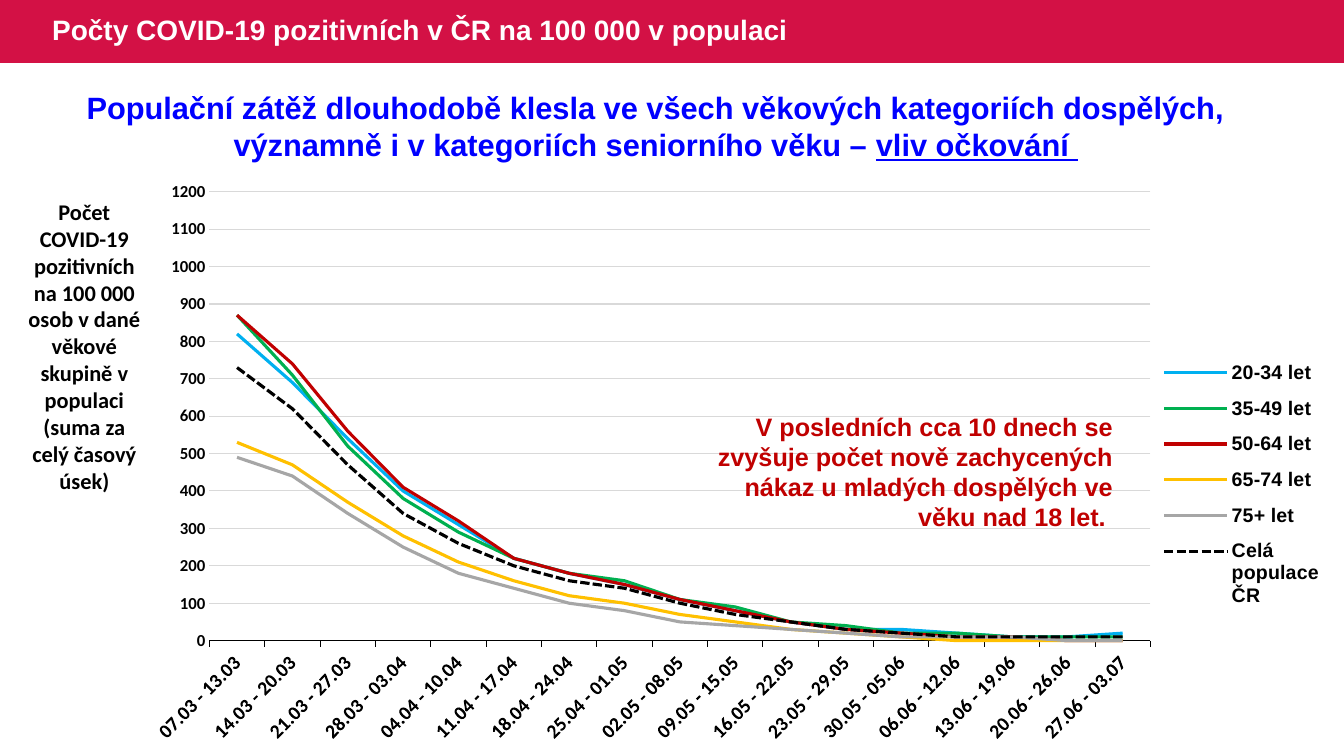
from pptx import Presentation
from pptx.chart.data import CategoryChartData
from pptx.dml.color import RGBColor
from pptx.enum.chart import XL_CHART_TYPE, XL_LEGEND_POSITION, XL_MARKER_STYLE, XL_TICK_MARK
from pptx.enum.dml import MSO_LINE
from pptx.enum.shapes import MSO_SHAPE
from pptx.enum.text import MSO_ANCHOR, PP_ALIGN
from pptx.oxml import parse_xml
from pptx.oxml.ns import nsdecls, qn
from pptx.util import Pt

COLORS = {
    "band": "D31145", "white": "FFFFFF", "black": "000000", "headline": "0000FF",
    "grid": "D9D9D9", "blue": "00B0F0", "green": "00B050", "red": "C00000",
    "yellow": "FFC000", "grey": "A6A6A6",
}
WEEKS = [
    "07.03 - 13.03", "14.03 - 20.03", "21.03 - 27.03", "28.03 - 03.04", "04.04 - 10.04",
    "11.04 - 17.04", "18.04 - 24.04", "25.04 - 01.05", "02.05 - 08.05", "09.05 - 15.05",
    "16.05 - 22.05", "23.05 - 29.05", "30.05 - 05.06", "06.06 - 12.06", "13.06 - 19.06",
    "20.06 - 26.06", "27.06 - 03.07",
]
AGE_GROUPS = [
    ("20-34 let", "blue",
     [820, 690, 540, 400, 310, 220, 180, 150, 110, 80, 50, 30, 30, 20, 10, 10, 20]),
    ("35-49 let", "green",
     [870, 710, 520, 380, 290, 220, 180, 160, 110, 90, 50, 40, 20, 20, 10, 10, 10]),
    ("50-64 let", "red",
     [870, 740, 560, 410, 320, 220, 180, 150, 110, 80, 50, 30, 20, 10, 10, 0, 0]),
    ("65-74 let", "yellow",
     [530, 470, 370, 280, 210, 160, 120, 100, 70, 50, 30, 20, 10, 0, 0, 0, 0]),
    ("75+ let", "grey",
     [490, 440, 340, 250, 180, 140, 100, 80, 50, 40, 30, 20, 10, 10, 10, 0, 0]),
    ("Celá populace ČR", "black",
     [730, 620, 470, 340, 260, 200, 160, 140, 100, 70, 50, 30, 20, 10, 10, 10, 10]),
]


def color(name):
    return RGBColor.from_string(COLORS[name])


def format_font(font, size, tint="black", name="Arial"):
    font.name, font.size, font.bold = name, Pt(size), True
    font.color.rgb = color(tint)


def add_span(para, text, underline=None, **font):
    span = para.add_run()
    span.text = text
    span.font.underline = underline
    format_font(span.font, **font)


def add_text(page, left, top, width, height, paragraphs, align, **font):
    """Add a wrapped box whose paragraphs are lists of (text, underline) pairs."""
    box = page.shapes.add_textbox(Pt(left), Pt(top), Pt(width), Pt(height))
    frame = box.text_frame
    frame.word_wrap = True
    for index, spans in enumerate(paragraphs):
        para = frame.add_paragraph() if index else frame.paragraphs[0]
        para.alignment = align
        for text, underline in spans:
            add_span(para, text, underline, **font)


def add_title(page, text):
    title = page.shapes.title
    title.left, title.top, title.width, title.height = Pt(30), Pt(0), Pt(603), Pt(45)
    title.text_frame.vertical_anchor = MSO_ANCHOR.MIDDLE
    para = title.text_frame.paragraphs[0]
    para.alignment, para.line_spacing = PP_ALIGN.LEFT, 0.9
    add_span(para, text, size=20, tint="white")
    band = page.shapes.add_shape(MSO_SHAPE.RECTANGLE, Pt(0), Pt(0), Pt(960), Pt(45))
    band.shadow.inherit = False
    band.fill.solid()
    band.fill.fore_color.rgb = color("band")
    band.line.fill.background()
    title.element.addprevious(band.element)


def make_layout(x, y, w, h, inner=False):
    target = '<c:layoutTarget val="inner"/>' if inner else ""
    return parse_xml(
        f'<c:layout {nsdecls("c")}><c:manualLayout>{target}'
        '<c:xMode val="edge"/><c:yMode val="edge"/>'
        f'<c:x val="{x}"/><c:y val="{y}"/><c:w val="{w}"/><c:h val="{h}"/>'
        '</c:manualLayout></c:layout>')


def set_layout(element, position, layout):
    for old in element.findall(qn("c:layout")):
        element.remove(old)
    element.insert(position, layout)


def format_axes(chart):
    weeks, counts = chart.category_axis, chart.value_axis
    format_font(weeks.tick_labels.font, 14, name="Calibri")
    weeks.format.line.color.rgb = color("black")
    weeks.format.line.width = Pt(0.75)
    weeks.major_tick_mark = XL_TICK_MARK.OUTSIDE
    body = weeks.tick_labels.font._element.getparent().getparent().getparent().find(qn("a:bodyPr"))
    body.set("rot", "-2700000")
    body.set("vert", "horz")
    format_font(counts.tick_labels.font, 12, name="Calibri")
    counts.minimum_scale, counts.maximum_scale, counts.major_unit = 0, 1200, 100
    counts.major_tick_mark = XL_TICK_MARK.NONE
    counts.format.line.fill.background()
    counts.major_gridlines.format.line.color.rgb = color("grid")
    counts.major_gridlines.format.line.width = Pt(0.75)


def add_line_chart(page, left, top, width, height):
    data = CategoryChartData()
    data.categories = WEEKS
    for name, _, values in AGE_GROUPS:
        data.add_series(name, values)
    chart = page.shapes.add_chart(
        XL_CHART_TYPE.LINE, Pt(left), Pt(top), Pt(width), Pt(height), data).chart
    chart.has_title = False
    format_font(chart.font, 14)
    format_axes(chart)
    plot = chart.plots[0]
    plot.vary_by_categories = False
    for series, (_, tint, _) in zip(plot.series, AGE_GROUPS):
        series.smooth = False
        series.marker.style = XL_MARKER_STYLE.NONE
        series.format.line.color.rgb = color(tint)
        series.format.line.width = Pt(2.25)
    plot.series[-1].format.line.dash_style = MSO_LINE.SQUARE_DOT
    chart.has_legend = True
    legend = chart.legend
    legend.position = XL_LEGEND_POSITION.RIGHT
    legend.include_in_layout = False
    format_font(legend.font, 14)
    plot_area = chart.element.find(qn("c:chart")).find(qn("c:plotArea"))
    set_layout(plot_area, 0, make_layout(0.045, 0.026, 0.803, 0.759, inner=True))
    set_layout(legend.font._element.getparent().getparent().getparent().getparent(), 1,
               make_layout(0.86, 0.29, 0.14, 0.46))


def main():
    deck = Presentation()
    deck.slide_width, deck.slide_height = Pt(960), Pt(540)
    page = deck.slides.add_slide(deck.slide_layouts[5])
    add_title(page, "Počty COVID-19 pozitivních v ČR na 100 000 v populaci")
    add_line_chart(page, 109.5, 126, 839.5, 422.5)
    add_text(page, 11, 138, 98.5, 220,
             [[("Počet COVID-19 pozitivních na 100 000 osob v dané věkové skupině "
                "v populaci (suma za celý časový úsek)", None)]],
             PP_ALIGN.CENTER, size=16, name="Calibri")
    add_text(page, 21.5, 60, 893.5, 60.5,
             [[("Populační zátěž dlouhodobě klesla ve všech věkových kategoriích dospělých,",
                None)],
              [("významně i v kategoriích seniorního věku – ", None), ("vliv očkování ", True)]],
             PP_ALIGN.CENTER, size=22, tint="headline")
    add_text(page, 498, 290, 304, 94.5,
             [[("V posledních cca 10 dnech se zvyšuje počet nově zachycených nákaz "
                "u mladých dospělých ve věku nad 18 let. ", None)]],
             PP_ALIGN.RIGHT, size=18, tint="red")
    deck.save("out.pptx")


if __name__ == "__main__":
    main()
